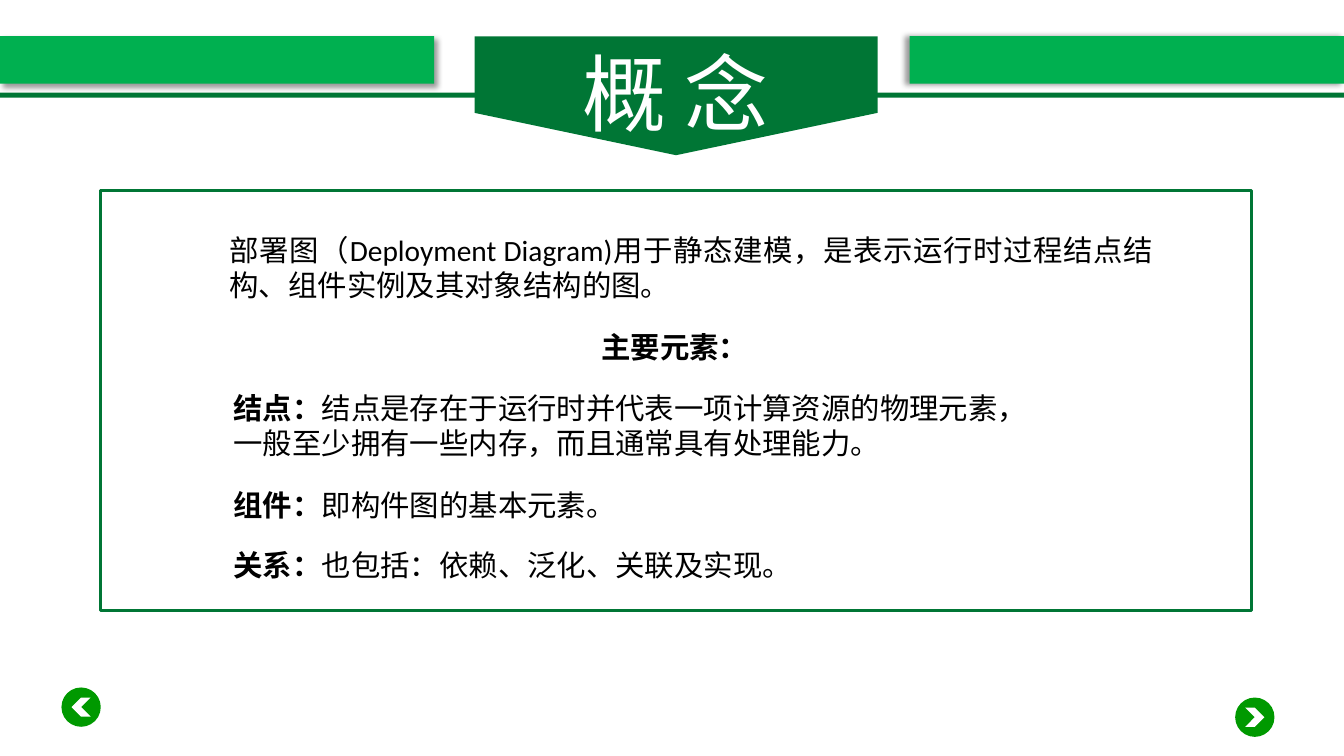
from dataclasses import dataclass

from lxml import etree
from pptx import Presentation
from pptx.dml.color import RGBColor
from pptx.enum.shapes import MSO_SHAPE
from pptx.enum.text import MSO_ANCHOR, MSO_AUTO_SIZE, PP_ALIGN
from pptx.oxml.ns import qn
from pptx.util import Inches, Pt

RECT = MSO_SHAPE.RECTANGLE
OVAL = MSO_SHAPE.OVAL
CHEVRON = MSO_SHAPE.CHEVRON
PENTAGON = MSO_SHAPE.PENTAGON
LEFT, CENTER, JUSTIFY = PP_ALIGN.LEFT, PP_ALIGN.CENTER, PP_ALIGN.JUSTIFY
TOP, MIDDLE = MSO_ANCHOR.TOP, MSO_ANCHOR.MIDDLE
NO_FIT = MSO_AUTO_SIZE.NONE
TITLE_ONLY = 5


@dataclass(frozen=True)
class Theme:
    """Colours, fonts and type sizes of the slide."""
    bar: str = "00B050"
    dark: str = "007635"
    badge: str = "009900"
    white: str = "FFFFFF"
    ink: str = "000000"
    latin: str = "Calibri"
    asian: str = "Noto Sans CJK SC"
    head: int = 60
    body: int = 21


THEME = Theme()
WIDTH = 13.34
NOTES = [
    (2.18, 2.25, 9.37, 0.81, JUSTIFY,
     [("", "部署图（Deployment Diagram)用于静态建模，"
           "是表示运行时过程结点结构、组件实例及其对象结构的图。")]),
    (2.22, 3.82, 8.2, 0.81, LEFT,
     [("结点：", "结点是存在于运行时并代表一项计算资源的物理元素，"),
      ("", "一般至少拥有一些内存，而且通常具有处理能力。")]),
    (2.22, 4.78, 4.2, 0.45, LEFT, [("组件：", "即构件图的基本元素。")]),
    (2.22, 5.38, 5.9, 0.45, LEFT, [("关系：", "也包括：依赖、泛化、关联及实现。")]),
    (5.87, 3.22, 1.8, 0.45, LEFT, [("主要元素：", "")]),
]


def paint(run, size, color, latin, bold=False):
    """Format one run, with the Asian font as well."""
    font = run.font
    font.size, font.bold, font.name = Pt(size), bold, latin
    font.color.rgb = RGBColor.from_string(color)
    asian = etree.Element(qn("a:ea"), typeface=THEME.asian)
    run._r.rPr.find(qn("a:latin")).addnext(asian)


def block(shapes, kind, left, top, width, height, fill):
    """Add a plain filled shape."""
    shape = shapes.add_shape(kind, Inches(left), Inches(top),
                             Inches(width), Inches(height))
    shape.shadow.inherit = False
    shape.fill.solid()
    shape.fill.fore_color.rgb = RGBColor.from_string(fill)
    shape.line.fill.background()
    return shape


def shade(shape, angle):
    """Give a shape a soft outer shadow."""
    effects = shape._element.spPr.find(qn("a:effectLst"))
    outer = etree.SubElement(effects, qn("a:outerShdw"), blurRad=str(Pt(4)),
                             dist=str(Pt(3)), dir=str(angle * 60000))
    color = etree.SubElement(outer, qn("a:srgbClr"), val=THEME.ink)
    etree.SubElement(color, qn("a:alpha"), val="40000")


def badge(slide, left, top, turn):
    """Add a round arrow button."""
    shapes = slide.shapes.add_group_shape().shapes
    block(shapes, OVAL, left, top, 0.39, 0.39, THEME.badge)
    arrow = block(shapes, CHEVRON, left + 0.1, top + 0.1, 0.19, 0.19, THEME.white)
    arrow.rotation = turn


def banner(slide):
    """Add the bars, the rule and the title on its pentagon."""
    shapes = slide.shapes
    for left, angle in ((0, 45), (9.03, 180)):
        shade(block(shapes, RECT, left, 0.36, 4.31, 0.47, THEME.bar), angle)
    block(shapes, RECT, 0, 0.92, WIDTH, 0.05, THEME.dark)
    flag = block(shapes, PENTAGON, 4.71, 0.36, 4, 1.18, THEME.dark)
    flag.left, flag.top = Inches(6.12), Inches(-1.05)
    flag.width, flag.height = Inches(1.18), Inches(4)
    flag.rotation = 90
    flag.adjustments[0] = 0.356

    title = shapes.title
    title.left, title.top = Inches(5.64), Inches(0.36)
    title.width, title.height = Inches(2.13), Inches(1.11)
    frame = title.text_frame
    frame.text = "概 念"
    frame.word_wrap, frame.auto_size = False, NO_FIT
    frame.vertical_anchor = MIDDLE
    para = frame.paragraphs[0]
    para.alignment = CENTER
    paint(para.runs[0], THEME.head, THEME.white, THEME.asian)
    flag._element.addnext(title._element)


def panel(slide):
    """Add the outlined frame around the notes."""
    box = block(slide.shapes, RECT, 1, 1.89, 11.42, 4.17, THEME.white)
    box.fill.background()
    box.line.color.rgb = RGBColor.from_string(THEME.dark)
    box.line.width = Pt(2)


def note(slide, left, top, width, height, align, lines):
    """Add a text box whose lines may open with a bold term."""
    box = slide.shapes.add_textbox(Inches(left), Inches(top),
                                   Inches(width), Inches(height))
    frame = box.text_frame
    frame.word_wrap, frame.vertical_anchor = True, TOP
    for i, (term, text) in enumerate(lines):
        para = frame.add_paragraph() if i else frame.paragraphs[0]
        para.alignment = align
        for part, bold in ((term, True), (text, False)):
            if part:
                run = para.add_run()
                run.text = part
                paint(run, THEME.body, THEME.ink, THEME.latin, bold)


def main():
    """Build the slide and save it."""
    deck = Presentation()
    deck.slide_width, deck.slide_height = Inches(WIDTH), Inches(7.5)
    slide = deck.slides.add_slide(deck.slide_layouts[TITLE_ONLY])
    banner(slide)
    badge(slide, 0.61, 6.82, 180)
    badge(slide, 12.26, 6.92, 0)
    panel(slide)
    for item in NOTES:
        note(slide, *item)
    deck.save("out.pptx")


if __name__ == "__main__":
    main()
